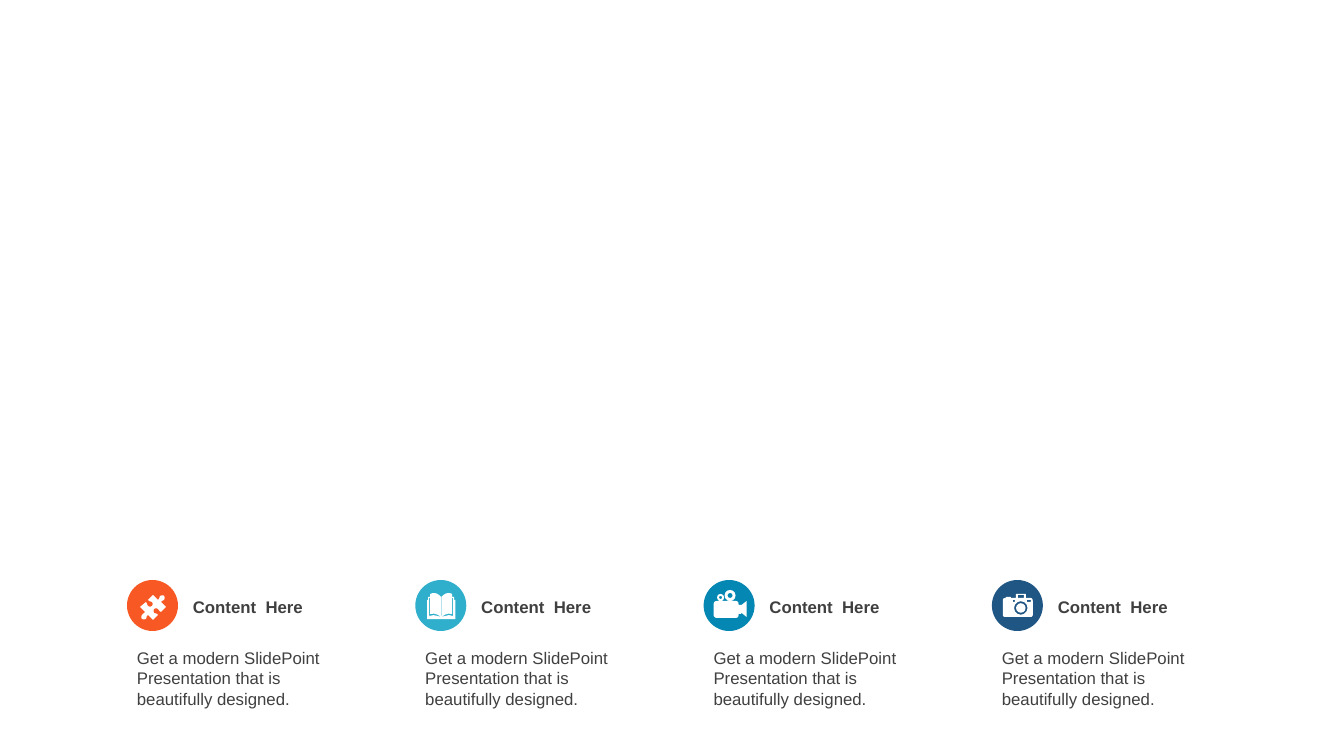
"""Build a slide with four icon captions along its lower edge."""
from math import cos, sin, tau
from pptx import Presentation
from pptx.dml.color import RGBColor
from pptx.enum.shapes import MSO_SHAPE as Kind
from pptx.enum.text import MSO_AUTO_SIZE as Fit
from pptx.util import Emu, Pt

SCALE = 914400 / 100.8


def px(val):
    return Emu(round(val * SCALE))


def tint(code):
    return RGBColor.from_string(code)


def disc(x, y, rad):
    return [(x + rad * cos(tau * i / 12), y + rad * sin(tau * i / 12))
            for i in range(12)]


def box(x, y, wide, high):
    return [(x, y), (x + wide, y), (x + wide, y + high), (x, y + high)]


def trace(steps):
    dots = []
    for step in steps:
        if len(step) == 2:
            dots.append(step)
            continue
        ends = dots[-1] + step
        for t in (1 / 3, 2 / 3, 1):
            mix = ((1 - t) ** 3, 3 * t * (1 - t) ** 2, 3 * t * t * (1 - t), t ** 3)
            dots.append(tuple(sum(m * v for m, v in zip(mix, ends[k::2]))
                              for k in (0, 1)))
    return dots


class Page:
    def __init__(self, slide, font, size, ink):
        self.shapes = slide.shapes
        self.font, self.size, self.ink = font, size, ink

    def paint(self, shape, color):
        shape.shadow.inherit = False
        shape.fill.solid()
        shape.fill.fore_color.rgb = tint(color)
        shape.line.fill.background()

    def oval(self, x, y, side, color):
        shape = self.shapes.add_shape(Kind.OVAL, px(x), px(y), px(side), px(side))
        self.paint(shape, color)

    def text(self, x, y, wide, high, words, bold=False):
        frame = self.shapes.add_textbox(px(x), px(y), px(wide), px(high)).text_frame
        frame.word_wrap = True
        frame.auto_size = Fit.SHAPE_TO_FIT_TEXT
        para = frame.paragraphs[0]
        para.text = words
        font = para.font
        font.name, font.size, font.bold = self.font, Pt(self.size), bold
        font.color.rgb = tint(self.ink)

    def icon(self, x, y, loops, color="FFFFFF"):
        pen = None
        for loop in loops:
            dots = [(px(x + a), px(y + b)) for a, b in trace(loop)]
            if pen:
                pen.move_to(*dots[0])
            else:
                pen = self.shapes.build_freeform(*dots[0])
            pen.add_line_segments(dots[1:], close=True)
        self.paint(pen.convert_to_shape(), color)


PUZZLE = [[
    (37, 16), (38, 17, 38, 18, 37, 20), (36, 21, 35, 20, 34, 22), (39, 27),
    (34, 32), (32, 31, 32, 30, 31, 29), (30, 28, 28, 28, 27, 29),
    (27, 29, 26, 31, 27, 33), (29, 34, 30, 33, 31, 35), (26, 40), (21, 35),
    (19, 36, 20, 37, 19, 39), (17, 40, 15, 39, 15, 39), (14, 38, 14, 36, 15, 35),
    (16, 33, 17, 34, 18, 32), (13, 27), (19, 22), (20, 23, 20, 25, 21, 26),
    (22, 27, 24, 27, 25, 26), (26, 25, 26, 23, 25, 22), (23, 21, 23, 22, 21, 20),
    (26, 15), (31, 20), (33, 18, 32, 18, 33, 16), (35, 15, 37, 15, 37, 16)]]
BOOK = [
    [(12, 20), (13, 20), (13, 17), (15, 17), (15, 14), (17, 13, 18, 13, 19, 13),
     (22, 13, 24, 15, 26, 17), (28, 15, 30, 13, 33, 13), (34, 13, 35, 13, 37, 14),
     (37, 17), (39, 17), (39, 20), (40, 20), (40, 39), (12, 39)],
    [(15, 18), (14, 18), (14, 36), (19, 34, 21, 36, 26, 37),
     (22, 34, 19, 33, 15, 34)],
    [(37, 18), (38, 18), (38, 36), (33, 34, 31, 36, 26, 37),
     (30, 34, 33, 33, 37, 34)],
    box(25.75, 17, 0.5, 19)]
MOVIE = [
    [(10, 24), (10, 22, 12, 21, 13, 21), (32, 21), (34, 21, 35, 22, 35, 24),
     (35, 25), (38, 25), (43, 21), (43, 37), (38, 33), (37, 34), (35, 34),
     (35, 35), (35, 37, 34, 38, 32, 38), (13, 38), (12, 38, 10, 37, 10, 35)],
    disc(17, 17.5, 3.5), disc(17, 17.5, 1.5), disc(26.5, 15.5, 5.5),
    disc(26.5, 15.5, 2.5)]
CAMERA = [
    [(11, 20), (11, 19, 12, 18, 13, 18), (14, 18), (14, 17), (19, 17), (19, 18),
     (24, 18), (24, 15), (24, 14, 24, 14, 25, 14), (33, 14),
     (34, 14, 34, 14, 34, 15), (34, 18), (39, 18), (40, 18, 41, 19, 41, 21),
     (41, 35), (41, 36, 40, 37, 39, 37), (13, 37), (12, 37, 11, 36, 11, 35)],
    disc(29, 28, 6.75), disc(29, 28, 4.75), box(21, 20, 2, 2),
    box(35, 20, 4, 2), box(26, 15, 6, 3)]
ITEMS = [("F85824", PUZZLE), ("2FAFCC", BOOK), ("0587B3", MOVIE), ("205684", CAMERA)]
LEFT, TOP, PITCH = 127, 580, 288.3

deck = Presentation()
deck.slide_width, deck.slide_height = px(1344), px(756)
page = Page(deck.slides.add_slide(deck.slide_layouts[6]), "Arial", 12, "404040")
for col, (color, loops) in enumerate(ITEMS):
    x = LEFT + col * PITCH
    page.oval(x, TOP, 51, color)
    page.text(x + 56, TOP + 12, 147, 30, "Content  Here", bold=True)
    page.text(x, TOP + 63, 223, 72,
              "Get a modern SlidePoint Presentation that is beautifully designed.")
    page.icon(x, TOP, loops)
deck.save("out.pptx")
